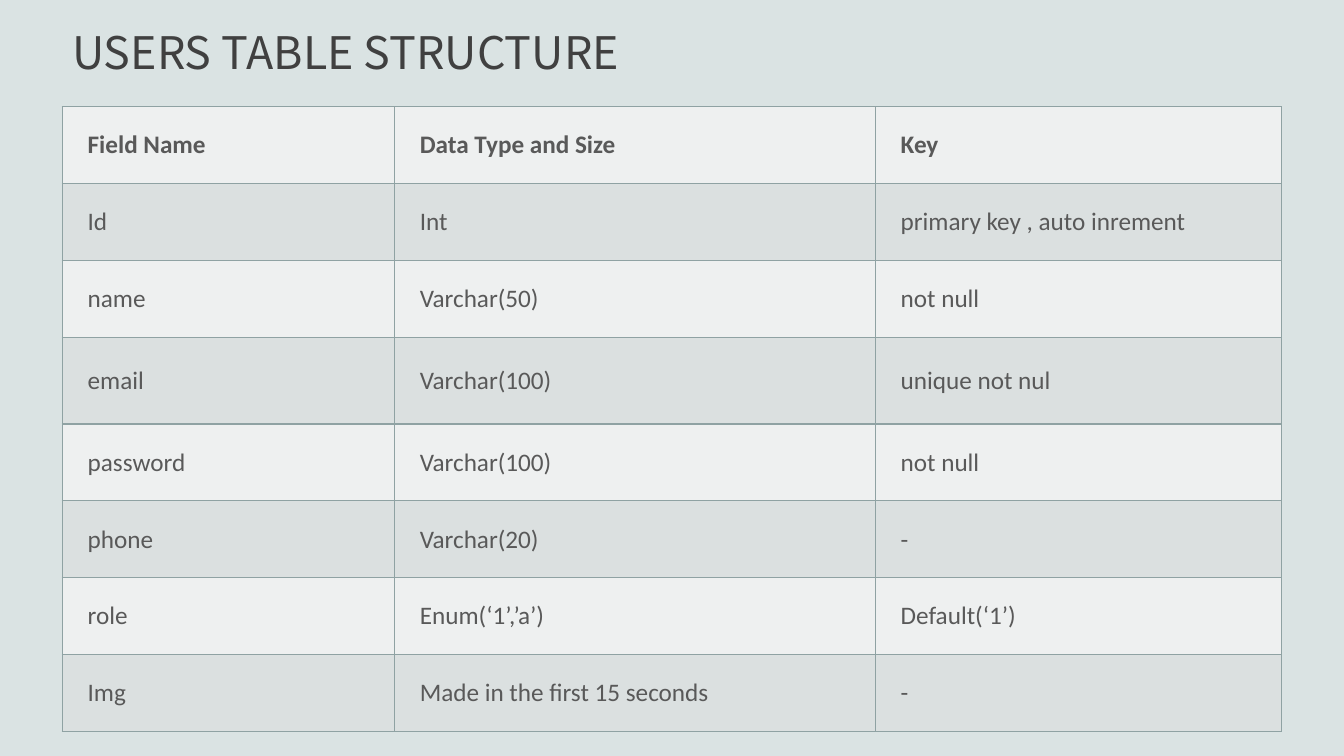
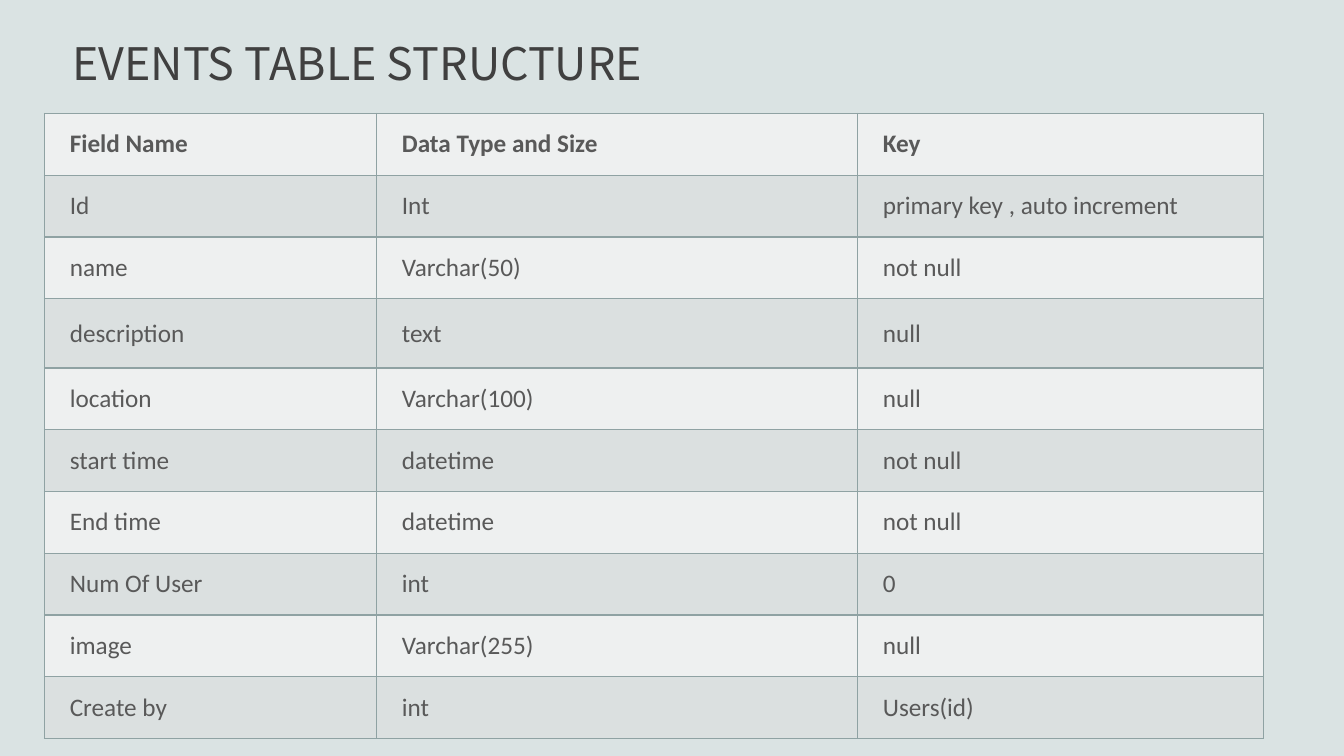
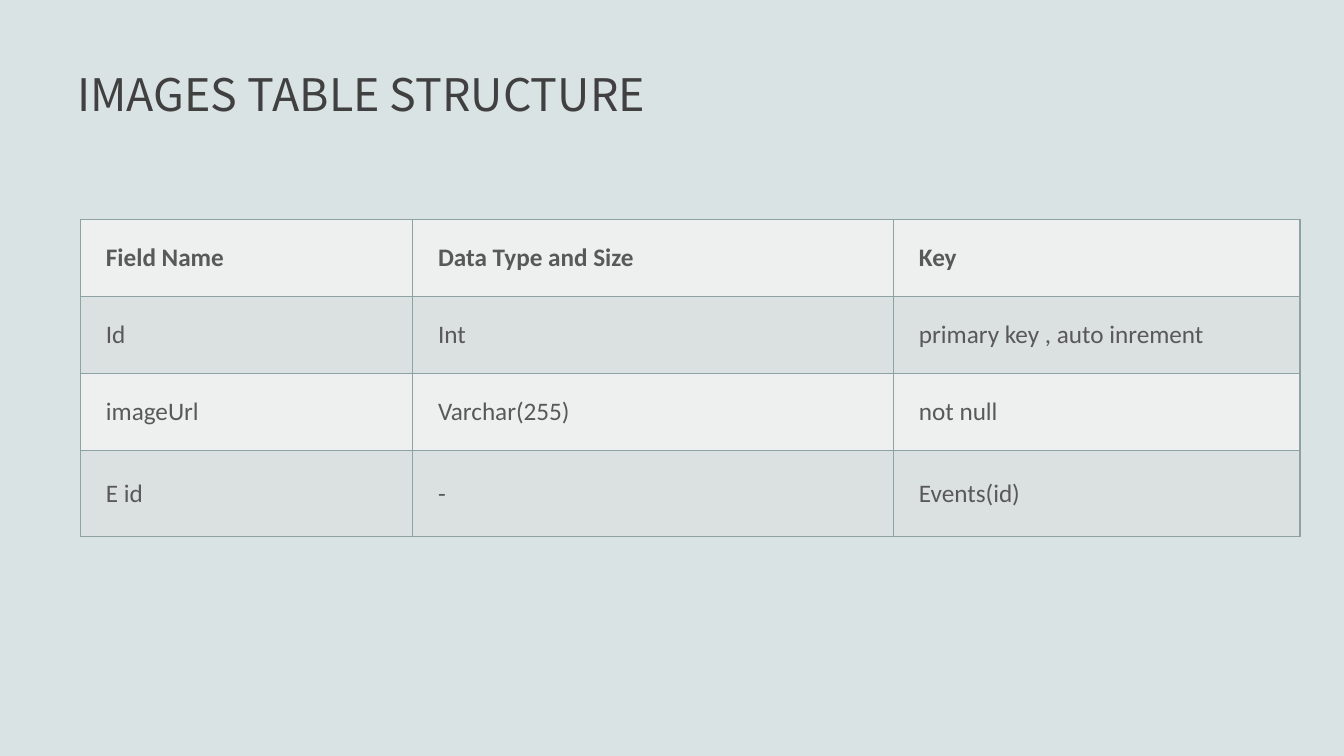
from dataclasses import dataclass

from lxml import etree
from pptx import Presentation
from pptx.dml import color
from pptx.enum import text
from pptx.oxml import ns
from pptx.util import Cm, Pt


@dataclass(frozen=True)
class Theme:
    back: str = "DAE3E3"
    title: str = "404040"
    body: str = "595959"
    light: str = "EEF0F0"
    dark: str = "DBE0E0"
    line: str = "8FA2A3"
    head_font: str = "Noto Sans CJK KR"
    body_font: str = "Calibri"
    head_size: int = 32
    body_size: int = 18
    rule: int = 1


COLS = (8.37, 12.12, 10.24)
WIDTH = sum(COLS)
HEAD = ("Field Name", "Data Type and Size", "Key")
TALL_ROW = 3
TALL = 1.125


class Deck:
    def __init__(self, theme):
        self.theme = theme
        self.file = Presentation()
        self.file.slide_width = Cm(33.87)
        self.file.slide_height = Cm(19.05)
        self.slide = None

    def add(self):
        self.slide = self.file.slides.add_slide(self.file.slide_layouts[6])
        self.fill(self.slide.background.fill, self.theme.back)

    def fill(self, fill, tint):
        fill.solid()
        fill.fore_color.rgb = color.RGBColor.from_string(tint)

    def style(self, para, name, size, tint, bold=False):
        for run in para.runs:
            font = run.font
            font.name, font.size, font.bold = name, Pt(size), bold
            font.color.rgb = color.RGBColor.from_string(tint)
            east = etree.SubElement(font._element, ns.qn("a:ea"))
            east.set("typeface", name)

    def title(self, words, left, top):
        box = self.slide.shapes.add_textbox(Cm(left), Cm(top), Cm(WIDTH), Cm(2.54))
        frame = box.text_frame
        frame.word_wrap = True
        frame.text = words
        para = frame.paragraphs[0]
        para.line_spacing = 0.9
        look = self.theme
        self.style(para, look.head_font, look.head_size, look.title)

    def border(self, cell):
        props = cell._tc.get_or_add_tcPr()
        for side in ("lnL", "lnR", "lnT", "lnB"):
            line = etree.SubElement(props, ns.qn("a:" + side), w=str(Pt(self.theme.rule)))
            solid = etree.SubElement(line, ns.qn("a:solidFill"))
            etree.SubElement(solid, ns.qn("a:srgbClr"), val=self.theme.line)

    def cell(self, cell, words, row):
        look = self.theme
        cell.text_frame.text = words
        cell.vertical_anchor = text.MSO_ANCHOR.MIDDLE
        cell.margin_left, cell.margin_right = Cm(0.64), Cm(0.51)
        cell.margin_top = cell.margin_bottom = Cm(0.13)
        self.border(cell)
        self.fill(cell.fill, look.dark if row % 2 else look.light)
        self.style(cell.text_frame.paragraphs[0], look.body_font,
                   look.body_size, look.body, row == 0)

    def table(self, fields, left, top, height):
        rows = [HEAD, *fields]
        grid = self.slide.shapes.add_table(
            len(rows), len(COLS), Cm(left), Cm(top), Cm(WIDTH), Cm(height)).table
        grid.first_row = grid.horz_banding = False
        for col, width in zip(grid.columns, COLS):
            col.width = Cm(width)
        unit = height / (len(rows) - 1 + TALL)
        for r, row in enumerate(rows):
            grid.rows[r].height = Cm(unit * (TALL if r == TALL_ROW else 1))
            for c, words in enumerate(row):
                self.cell(grid.cell(r, c), words, r)


USERS = [
    ("Id", "Int", "primary key , auto inrement"),
    ("name", "Varchar(50)", "not null"),
    ("email", "Varchar(100)", "unique not nul"),
    ("password", "Varchar(100)", "not null"),
    ("phone", "Varchar(20)", "-"),
    ("role", "Enum(‘1’,’a’)", "Default(‘1’)"),
    ("Img", "Made in the first 15 seconds", "-"),
]
EVENTS = [
    ("Id", "Int", "primary key , auto increment"),
    ("name", "Varchar(50)", "not null"),
    ("description", "text", "null"),
    ("location", "Varchar(100)", "null"),
    ("start time", "datetime", "not null"),
    ("End time", "datetime", "not null"),
    ("Num Of User", "int", "0"),
    ("image", "Varchar(255)", "null"),
    ("Create by", "int", "Users(id)"),
]
IMAGES = [
    ("Id", "Int", "primary key , auto inrement"),
    ("imageUrl", "Varchar(255)", "not null"),
    ("E id", "-", "Events(id)"),
]
SLIDES = [
    ("USERS TABLE STRUCTURE", (1.57, 0.64), USERS, (1.57, 2.69, 15.75)),
    ("EVENTS TABLE STRUCTURE", (1.57, 0.94), EVENTS, (1.12, 2.86, 15.75)),
    ("IMAGES TABLE STRUCTURE", (1.7, 1.7), IMAGES, (2.03, 5.53, 8)),
]


def main():
    deck = Deck(Theme())
    for words, spot, fields, area in SLIDES:
        deck.add()
        deck.title(words, *spot)
        deck.table(fields, *area)
    deck.file.save("out.pptx")


if __name__ == "__main__":
    main()
